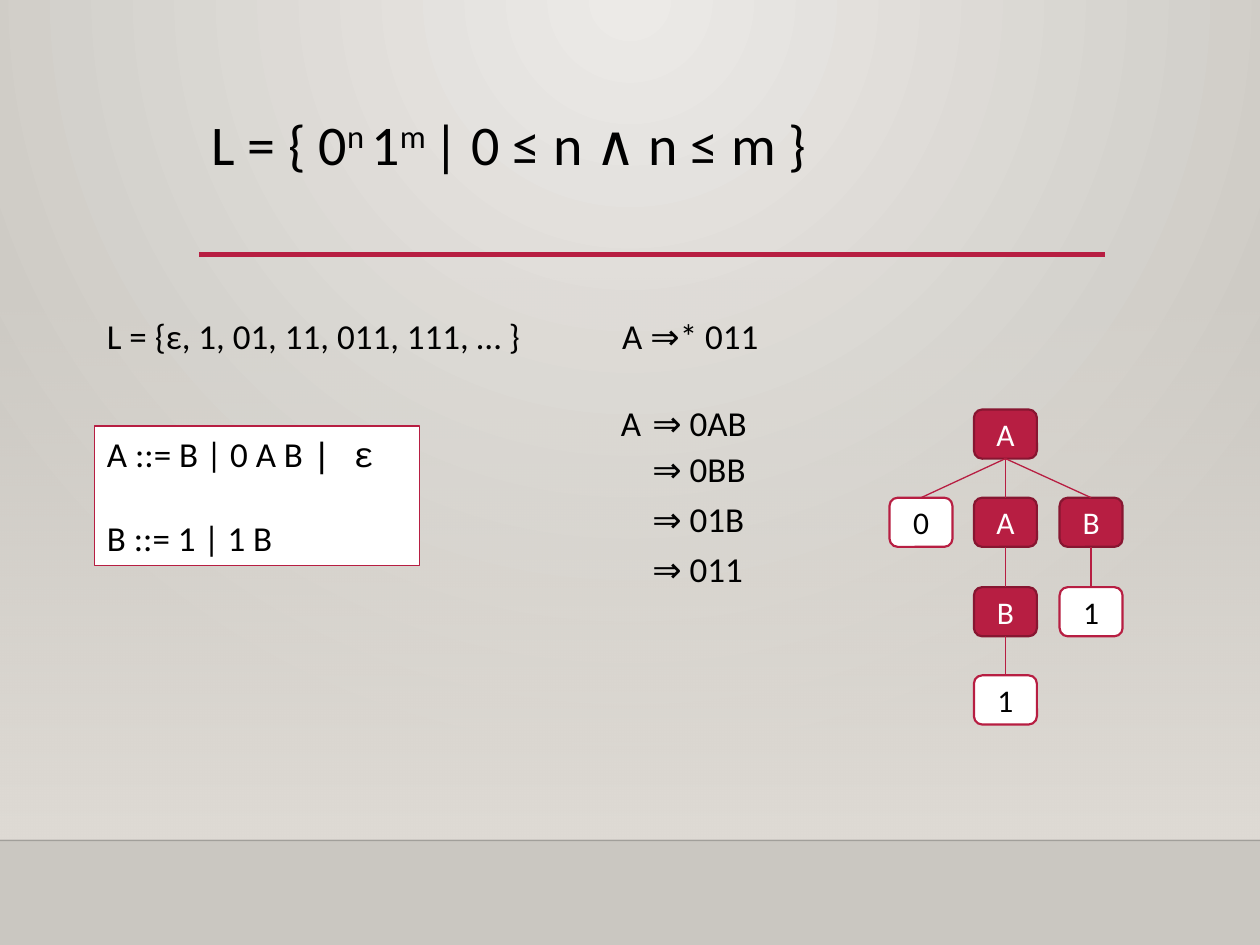
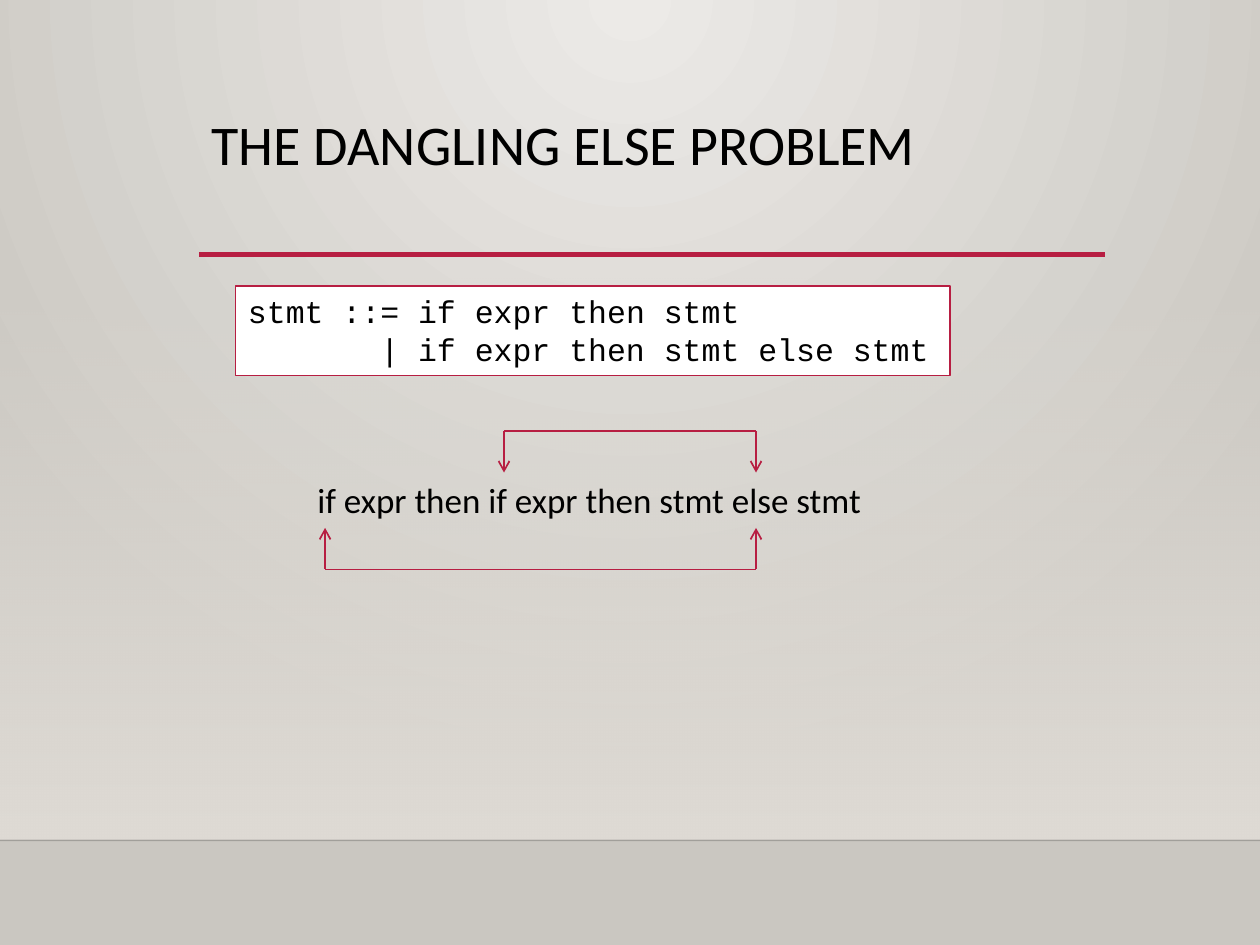
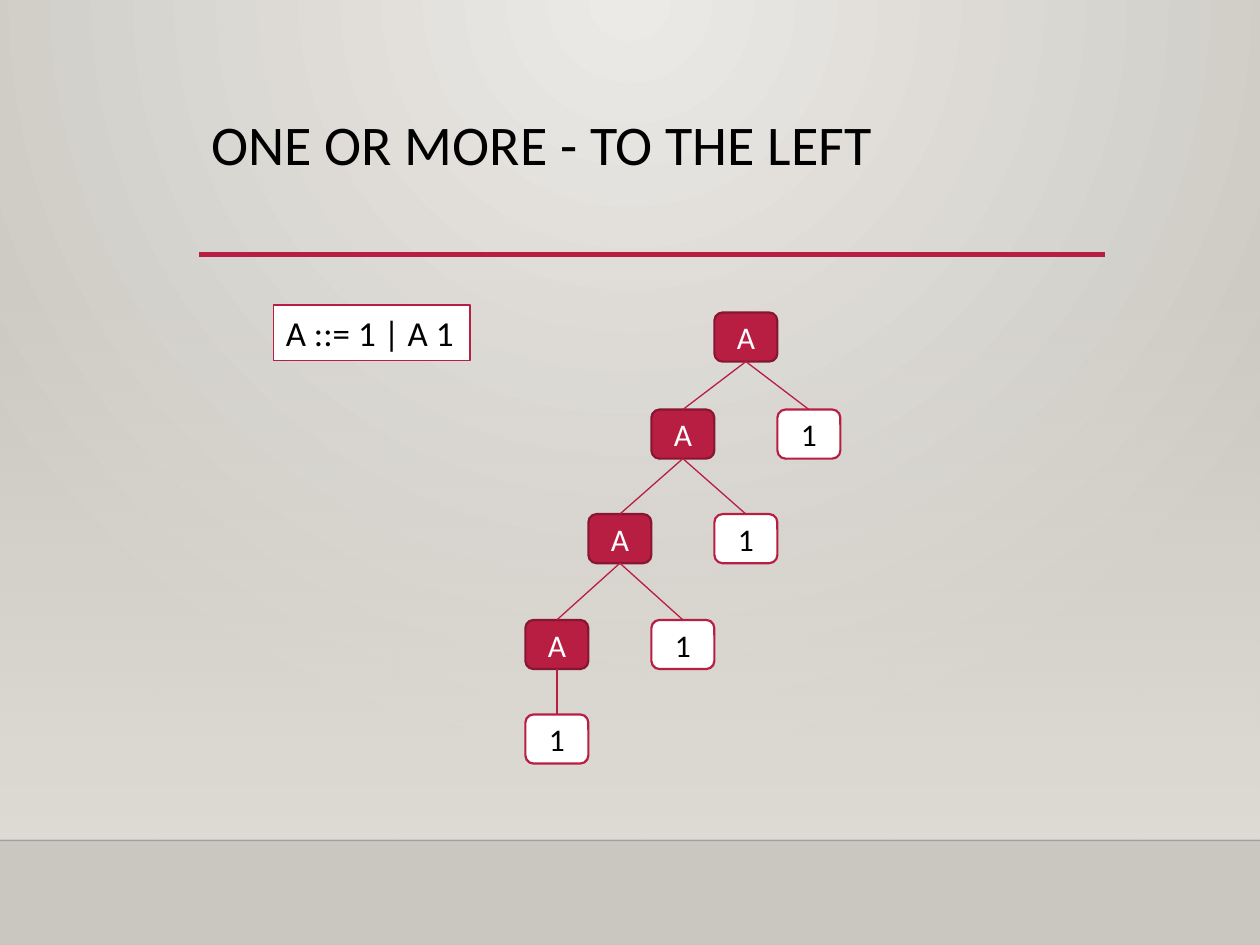
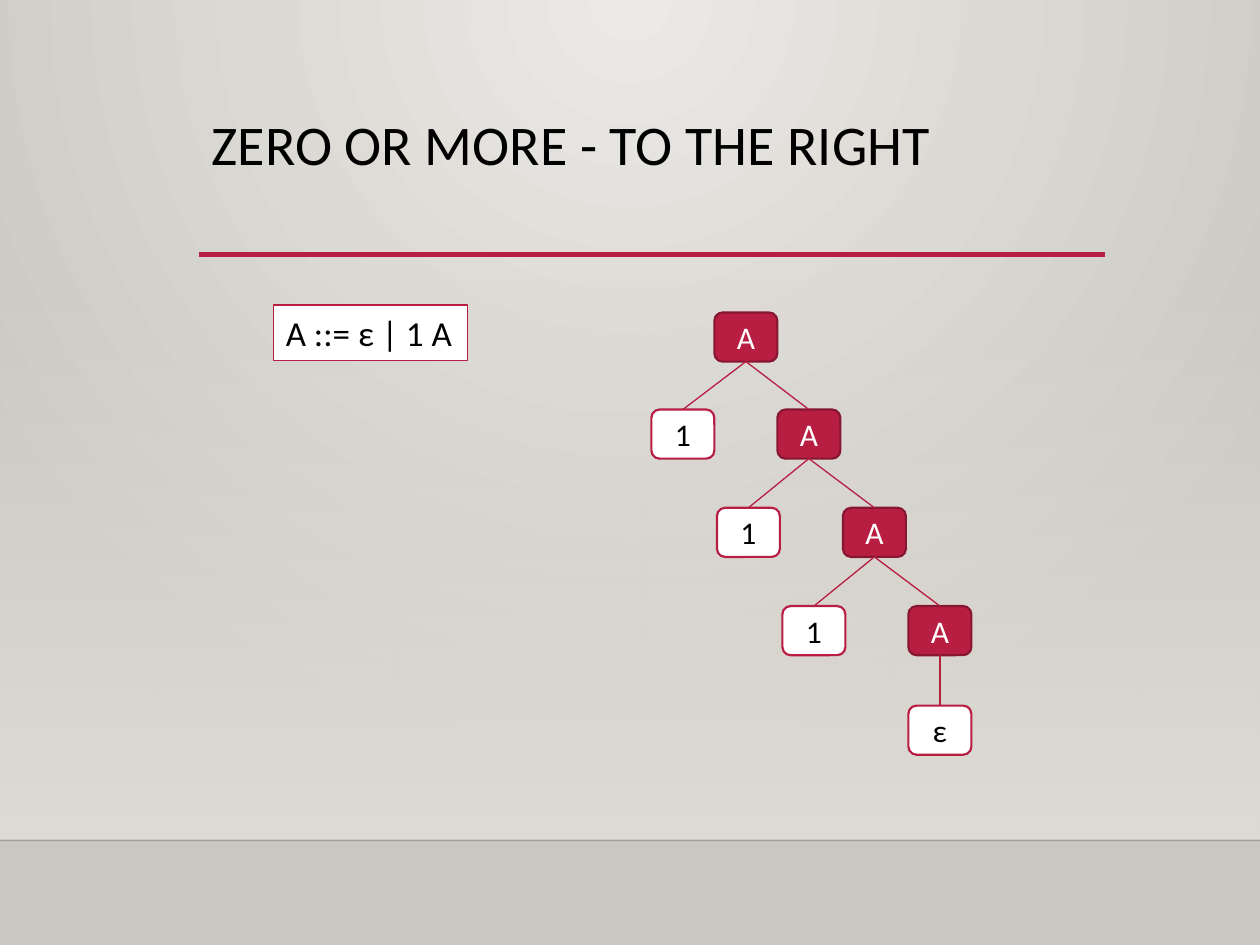
"""Build four slides on context-free grammars and their parse trees."""
from lxml import etree
from pptx import Presentation
from pptx.dml.color import RGBColor
from pptx.enum.shapes import MSO_CONNECTOR, MSO_SHAPE
from pptx.enum.text import MSO_ANCHOR, MSO_AUTO_SIZE, PP_ALIGN
from pptx.oxml.ns import qn
from pptx.util import Inches, Pt

RECT, ROUND = MSO_SHAPE.RECTANGLE, MSO_SHAPE.ROUNDED_RECTANGLE
STRAIGHT = MSO_CONNECTOR.STRAIGHT
TOP, MIDDLE = MSO_ANCHOR.TOP, MSO_ANCHOR.MIDDLE
LEFT, CENTER = PP_ALIGN.LEFT, PP_ALIGN.CENTER
TITLE_ONLY = 5


class Theme:
    ink = RGBColor(0x00, 0x00, 0x00)
    rule = RGBColor(0x00, 0x00, 0x01)
    white = RGBColor(0xFF, 0xFF, 0xFF)
    red = RGBColor(0xB7, 0x1E, 0x42)
    dark_red = RGBColor(0x87, 0x16, 0x31)
    glow = RGBColor(0xEC, 0xEA, 0xE7)
    edge = RGBColor(0xCA, 0xC7, 0xC1)
    floor = RGBColor(0xDF, 0xDB, 0xD5)
    font, code = "Calibri", "Courier New"
    title, body, small = Pt(32), Pt(20), Pt(18)


NODE_W, NODE_H = 0.5, 0.39
SLIDES = [
    {
        "title": [("L = { 0", 0), ("n ", 30), ("1", 0), ("m ", 30),
                  ("| 0 ≤ n ∧ n ≤ m }", 0)],
        "grammar": {"at": (0.75, 3.38, 2.58, 1.11), "wrap": True, "gap": Pt(24),
                    "lines": [[("A ::= B | 0 A B ", Theme.font), ("| ε", Theme.code)],
                              "B ::= 1 | 1 B"]},
        "texts": [
            ("L = {ε, 1, 01, 11, 011, 111, … }", (0.75, 2.45, 5.17, 0.44), True),
            ("A ⇒* 011", (4.84, 2.45, 1.33, 0.44), False),
            ("A", (4.83, 3.14, 0.36, 0.44), False),
            ("⇒ 0AB", (5.08, 3.14, 1, 0.44), False),
            ("⇒ 0BB", (5.08, 3.5, 1, 0.44), False),
            ("⇒ 01B", (5.08, 3.9, 1, 0.44), False),
            ("⇒ 011", (5.08, 4.3, 1, 0.44), False),
        ],
        "levels": [3.25, 3.95, 4.66, 5.36],
        "tree": [("A", 7.73, 0, None), ("0", 7.06, 1, 0), ("A", 7.73, 1, 0),
                 ("B", 8.41, 1, 0), ("B", 7.73, 2, 2), ("1", 8.41, 2, 3),
                 ("1", 7.73, 3, 4)],
    },
    {
        "title": [("THE DANGLING ELSE PROBLEM", 0)],
        "grammar": {"at": (1.87, 2.27, 5.67, 0.71), "wrap": True,
                    "size": Theme.small, "font": Theme.code, "indent": 1.05,
                    "lines": ["stmt ::= if expr then stmt",
                              "| if expr then stmt else stmt"]},
        "texts": [("if expr then if expr then stmt else stmt",
                   (2.42, 3.75, 4.56, 0.44), False)],
        "brackets": [(4, 6, 3.75, 3.42), (2.58, 6, 4.19, 4.52)],
    },
    {
        "title": [("ONE OR MORE - TO THE LEFT", 0)],
        "grammar": {"at": (2.17, 2.42, 1.56, 0.44), "lines": ["A ::= 1 | A 1"]},
        "levels": [2.48, 3.25, 4.08, 4.92, 5.67],
        "tree": [("A", 5.67, 0, None), ("A", 5.17, 1, 0), ("1", 6.17, 1, 0),
                 ("A", 4.67, 2, 1), ("1", 5.67, 2, 1), ("A", 4.17, 3, 3),
                 ("1", 5.17, 3, 3), ("1", 4.17, 4, 5)],
    },
    {
        "title": [("ZERO OR MORE - TO THE RIGHT", 0)],
        "grammar": {"at": (2.17, 2.42, 1.54, 0.44), "lines": ["A ::= ε | 1 A"]},
        "levels": [2.48, 3.25, 4.03, 4.81, 5.6],
        "tree": [("A", 5.67, 0, None), ("1", 5.17, 1, 0), ("A", 6.17, 1, 0),
                 ("1", 5.69, 2, 2), ("A", 6.69, 2, 2), ("1", 6.21, 3, 4),
                 ("A", 7.21, 3, 4), ("ε", 7.21, 4, 6)],
    },
]


def box(at):
    return [Inches(v) for v in at]


def set_alpha(color_el, percent):
    etree.SubElement(color_el, qn("a:alpha"), val=str(percent * 1000))


def set_stops(fill, first, last):
    fill.gradient()
    for stop, color in zip(fill.gradient_stops, (first, last)):
        stop.color.rgb = color


def set_font(font, size, color=Theme.ink, name=Theme.font):
    font.size, font.name, font.color.rgb = size, name, color


def add_shape(shapes, kind, at, fill, line, width):
    sp = shapes.add_shape(kind, *box(at))
    sp.shadow.inherit = False
    sp.fill.solid()
    sp.fill.fore_color.rgb = fill
    sp.line.color.rgb = line
    sp.line.width = Pt(width)
    return sp


def add_line(shapes, start, end, width, color=Theme.red, arrow=False):
    cx = shapes.add_connector(STRAIGHT, *box(start + end))
    cx.line.color.rgb = color
    cx.line.width = Pt(width)
    if arrow:
        etree.SubElement(cx.line._get_or_add_ln(), qn("a:headEnd"), type="arrow")
    etree.SubElement(cx.element.spPr, qn("a:effectLst"))
    return cx


def write(sp, lines, size=Theme.body, font=Theme.font, wrap=False, gap=0, indent=0):
    tf = sp.text_frame
    tf.word_wrap = wrap
    tf.auto_size = MSO_AUTO_SIZE.SHAPE_TO_FIT_TEXT
    tf.vertical_anchor = TOP
    for i, line in enumerate(lines):
        p = tf.add_paragraph() if i else tf.paragraphs[0]
        p.alignment = LEFT
        if i:
            p.space_before = gap
            p._p.get_or_add_pPr().set("marL", str(Inches(indent)))
        if isinstance(line, str):
            p.add_run().text = line
            set_font(p.font, size, name=font)
            continue
        for text, name in line:
            r = p.add_run()
            r.text = text
            set_font(r.font, size, name=name)


def add_title(s, parts):
    p = s.shapes.title.text_frame.paragraphs[0]
    p.alignment = LEFT
    p.line_spacing = 0.9
    set_font(p.font, Theme.title)
    for text, raised in parts:
        r = p.add_run()
        r.text = text
        if raised:
            r._r.get_or_add_rPr().set("baseline", str(raised * 1000))


def add_tree(s, nodes, levels):
    placed = []
    for label, left, level, parent in nodes:
        inner = label in "AB"
        fill, line, ink = ((Theme.red, Theme.dark_red, Theme.white) if inner
                           else (Theme.white, Theme.red, Theme.ink))
        at = (left, levels[level], NODE_W, NODE_H)
        sp = add_shape(s.shapes, ROUND, at, fill, line, 1.25)
        sp.text_frame.vertical_anchor = MIDDLE
        p = sp.text_frame.paragraphs[0]
        p.alignment = CENTER
        p.add_run().text = label
        set_font(p.font, Theme.small, ink)
        placed.append(sp)
        if parent is not None:
            cx = add_line(s.shapes, (0, 0), (1, 1), 0.75)
            cx.begin_connect(placed[parent], 2)
            cx.end_connect(sp, 0)


def add_bracket(s, left, right, tip, bar):
    shapes = s.shapes.add_group_shape().shapes
    add_line(shapes, (left, bar), (right, bar), 1)
    for x in (left, right):
        add_line(shapes, (x, tip), (x, bar), 1, arrow=True)


def style_layout(layout, s):
    for ph in list(layout.placeholders)[1:]:
        ph.element.getparent().remove(ph.element)
    title = layout.placeholders[0]
    title.left, title.top, title.width, title.height = box((1.58, 0.88, 7.19, 1.15))
    title.text_frame.vertical_anchor = TOP

    set_stops(layout.background.fill, Theme.glow, Theme.edge)
    grad = layout.element.find(".//" + qn("a:gradFill"))
    grad.remove(grad.find(qn("a:lin")))
    focus = etree.SubElement(grad, qn("a:path"), path="circle")
    etree.SubElement(focus, qn("a:fillToRect"), l="43000", t="0", r="43000", b="100000")

    floor = add_shape(s.shapes, RECT, (0, 2.2, 10, 4.46), Theme.floor, Theme.floor, 1)
    floor.line.fill.background()
    set_stops(floor.fill, Theme.floor, Theme.floor)
    floor.fill.gradient_angle = 270
    set_alpha(floor.element.find(".//" + qn("a:srgbClr")), 0)
    horizon = add_line(s.shapes, (0, 6.67), (10, 6.67), 1, Theme.rule)
    set_alpha(horizon.element.find(".//" + qn("a:srgbClr")), 20)
    underline = add_line(s.shapes, (1.58, 2.02), (8.77, 2.02), 2.5)
    for part in (floor, horizon, underline):
        layout.shapes.element.append(part.element)


def main():
    prs = Presentation()
    prs.slide_width, prs.slide_height = Inches(10), Inches(7.5)
    layout = prs.slide_layouts[TITLE_ONLY]
    for i, content in enumerate(SLIDES):
        s = prs.slides.add_slide(layout)
        if i == 0:
            style_layout(layout, s)
        add_title(s, content["title"])
        grammar = dict(content["grammar"])
        write(add_shape(s.shapes, RECT, grammar.pop("at"), Theme.white, Theme.red, 0.75),
              **grammar)
        for text, at, wrap in content.get("texts", []):
            write(s.shapes.add_textbox(*box(at)), [text], wrap=wrap)
        for bracket in content.get("brackets", []):
            add_bracket(s, *bracket)
        add_tree(s, content.get("tree", []), content.get("levels", []))
    prs.save("out.pptx")


if __name__ == "__main__":
    main()
